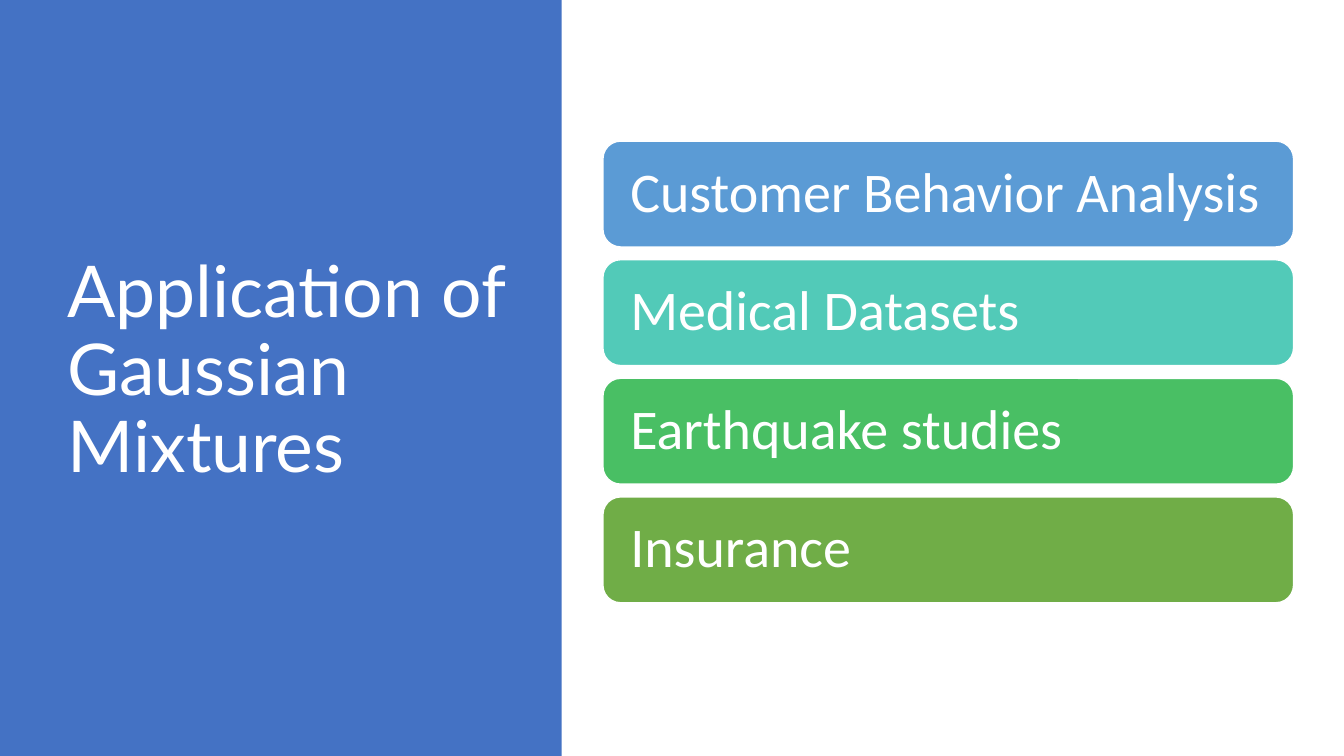
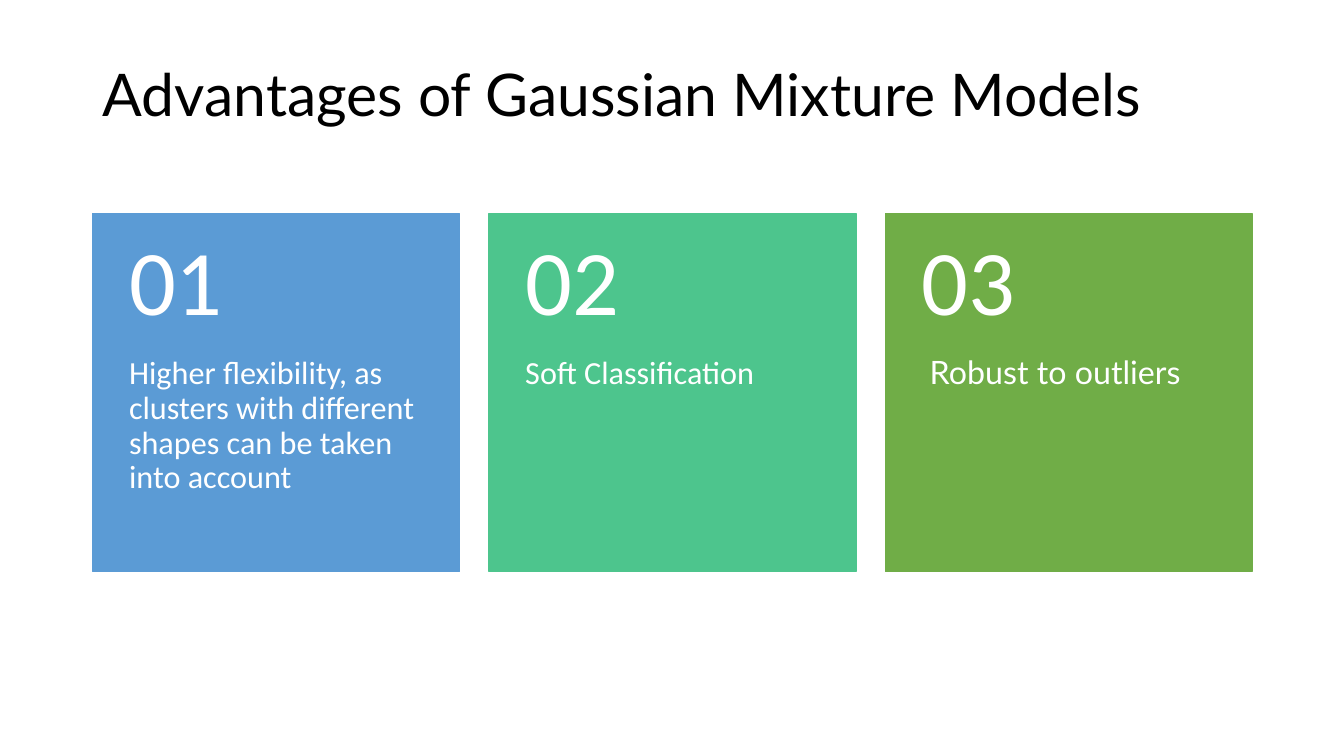
from typing import NamedTuple

from pptx import Presentation
from pptx.dml.color import RGBColor
from pptx.enum.shapes import MSO_SHAPE
from pptx.enum.text import MSO_ANCHOR, MSO_AUTO_SIZE, PP_ALIGN
from pptx.util import Inches, Pt

RECT, ROUND = MSO_SHAPE.RECTANGLE, MSO_SHAPE.ROUNDED_RECTANGLE
TOP, MIDDLE = MSO_ANCHOR.TOP, MSO_ANCHOR.MIDDLE
LEFT = PP_ALIGN.LEFT
FIXED = MSO_AUTO_SIZE.NONE

COLORS = {
    "white": "FFFFFF",
    "black": "000000",
    "band": "4472C4",
    "blue": "5B9BD5",
    "teal": "52CAB8",
    "mint": "4DC58D",
    "green": "49BF64",
    "olive": "70AD47",
}
HEAD, BODY = "Lato", "Calibri"


class Box(NamedTuple):
    left: float
    top: float
    width: float
    height: float


class Style(NamedTuple):
    size: float
    font: str = BODY
    color: str = "white"
    anchor: MSO_ANCHOR = MIDDLE
    insets: tuple[float, float, float, float] = (0.1, 0.05, 0.1, 0.05)


class Bar(NamedTuple):
    text: str
    color: str


class Card(NamedTuple):
    text: str
    color: str
    font: str = BODY


BARS = [
    Bar("Customer Behavior Analysis", "blue"),
    Bar("Medical Datasets", "teal"),
    Bar("Earthquake studies", "green"),
    Bar("Insurance", "olive"),
]
CARDS = [
    Card("Higher flexibility, as clusters with different shapes "
         "can be taken into account", "blue"),
    Card("Soft Classification", "mint"),
    Card(" Robust to outliers", "olive", HEAD),
]


def rgb(name: str) -> RGBColor:
    return RGBColor.from_string(COLORS[name])


def inches(box: Box) -> list[Inches]:
    return [Inches(value) for value in box]


def write(shape, text: str, style: Style) -> None:
    frame = shape.text_frame
    frame.text = text
    frame.word_wrap = True
    frame.auto_size = FIXED
    frame.vertical_anchor = style.anchor
    (frame.margin_left, frame.margin_top, frame.margin_right,
     frame.margin_bottom) = map(Inches, style.insets)
    for para in frame.paragraphs:
        para.alignment = LEFT
        para.line_spacing = 0.9
        para.font.size = Pt(style.size)
        para.font.name = style.font
        para.font.color.rgb = rgb(style.color)


def add_block(slide, kind: MSO_SHAPE, box: Box, fill: str,
              line: str | None = None):
    shape = slide.shapes.add_shape(kind, *inches(box))
    shape.shadow.inherit = False
    shape.fill.solid()
    shape.fill.fore_color.rgb = rgb(fill)
    if line:
        shape.line.color.rgb = rgb(line)
        shape.line.width = Pt(1)
    else:
        shape.line.fill.background()
    return shape


def add_slide(deck, text: str, box: Box, style: Style):
    """Add a title-only slide with its title placed and styled."""
    slide = deck.slides.add_slide(deck.slide_layouts[5])
    title = slide.shapes.title
    title.left, title.top, title.width, title.height = inches(box)
    write(title, text, style)
    return slide


def add_uses(deck) -> None:
    slide = add_slide(deck, "Application of Gaussian Mixtures",
                      Box(0.57, 0.68, 4.65, 6.02), Style(51, HEAD))
    band = add_block(slide, RECT, Box(0, 0, 5.57, 7.5), "band")
    slide.shapes.title.element.addprevious(band.element)

    first, last, height = 1.4, 4.93, 1.05
    pitch = (last - first) / (len(BARS) - 1)
    style = Style(40, insets=(0.22, 0.22, 0.22, 0.22))
    for i, bar in enumerate(BARS):
        box = Box(5.98, first + i * pitch, 6.85, height)
        write(add_block(slide, ROUND, box, bar.color, "white"),
              bar.text, style)


def add_gains(deck) -> None:
    left, top, width, height = 0.92, 2.12, 3.64, 3.55
    gap, split, pad = 0.29, 1.42, 0.36
    slide = add_slide(deck, "Advantages of Gaussian Mixture Models",
                      Box(left, 0.4, 11.67, 1.14),
                      Style(42, HEAD, "black"))
    number = Style(66, insets=(pad, pad / 2, pad, pad / 2))
    for i, card in enumerate(CARDS):
        box = Box(left + i * (width + gap), top, width, height)
        block = add_block(slide, RECT, box, card.color, card.color)
        write(block, card.text, Style(23, card.font, anchor=TOP,
                                      insets=(pad, split, pad, pad)))
        label = slide.shapes.add_textbox(*inches(box._replace(height=split)))
        write(label, f"{i + 1:02}", number)


def main() -> None:
    deck = Presentation()
    deck.slide_width, deck.slide_height = Inches(13.33), Inches(7.5)
    add_uses(deck)
    add_gains(deck)
    deck.save("out.pptx")


if __name__ == "__main__":
    main()
